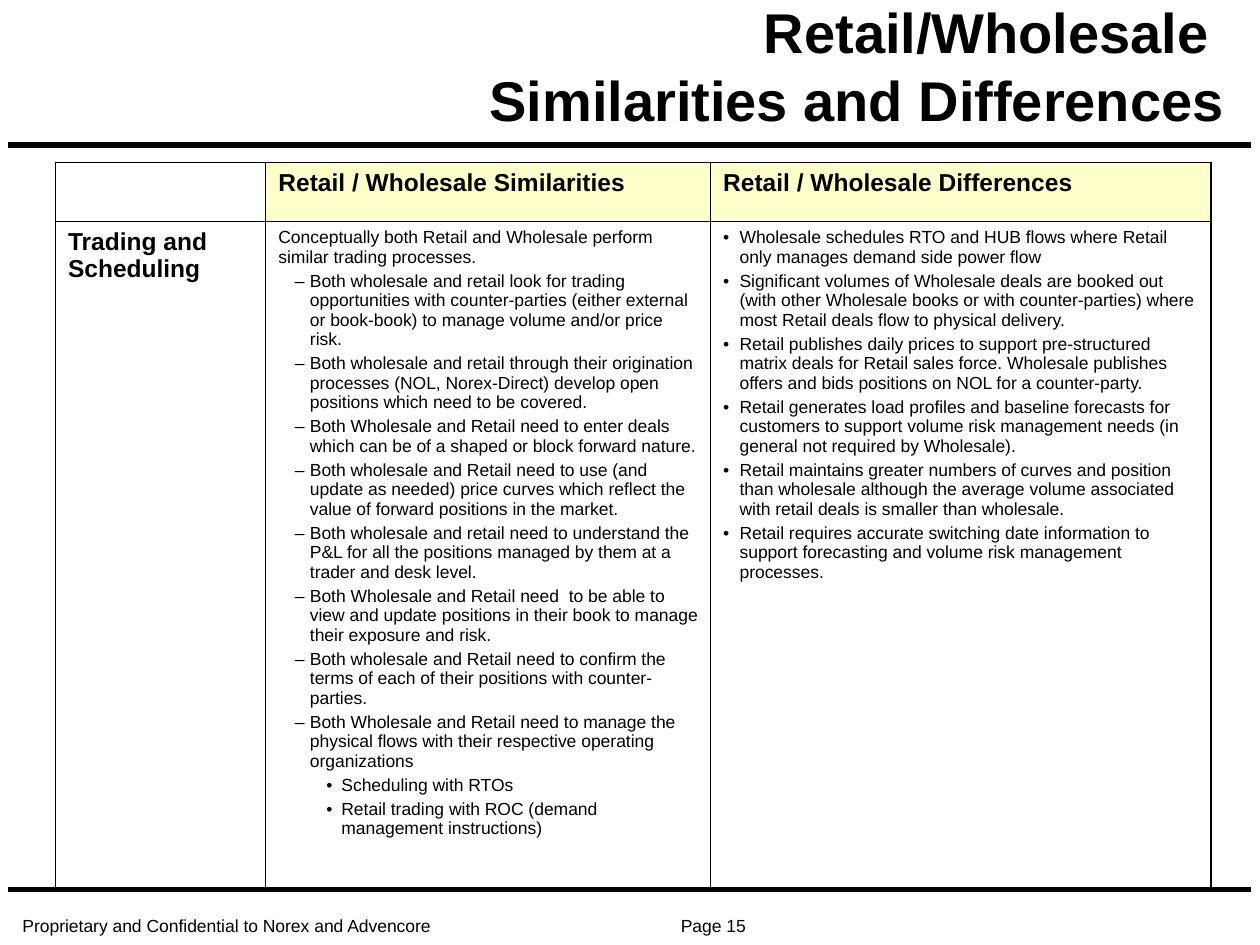
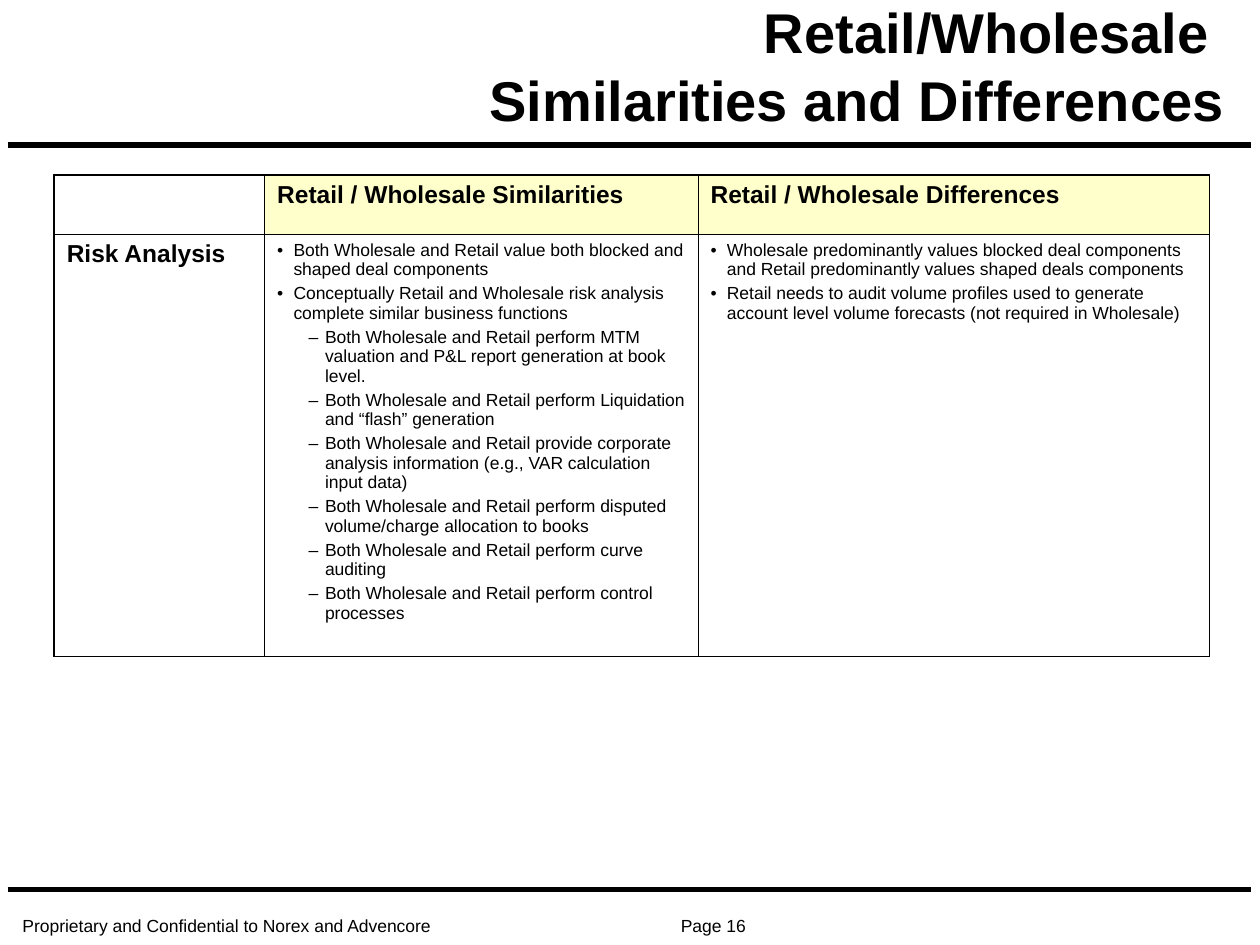
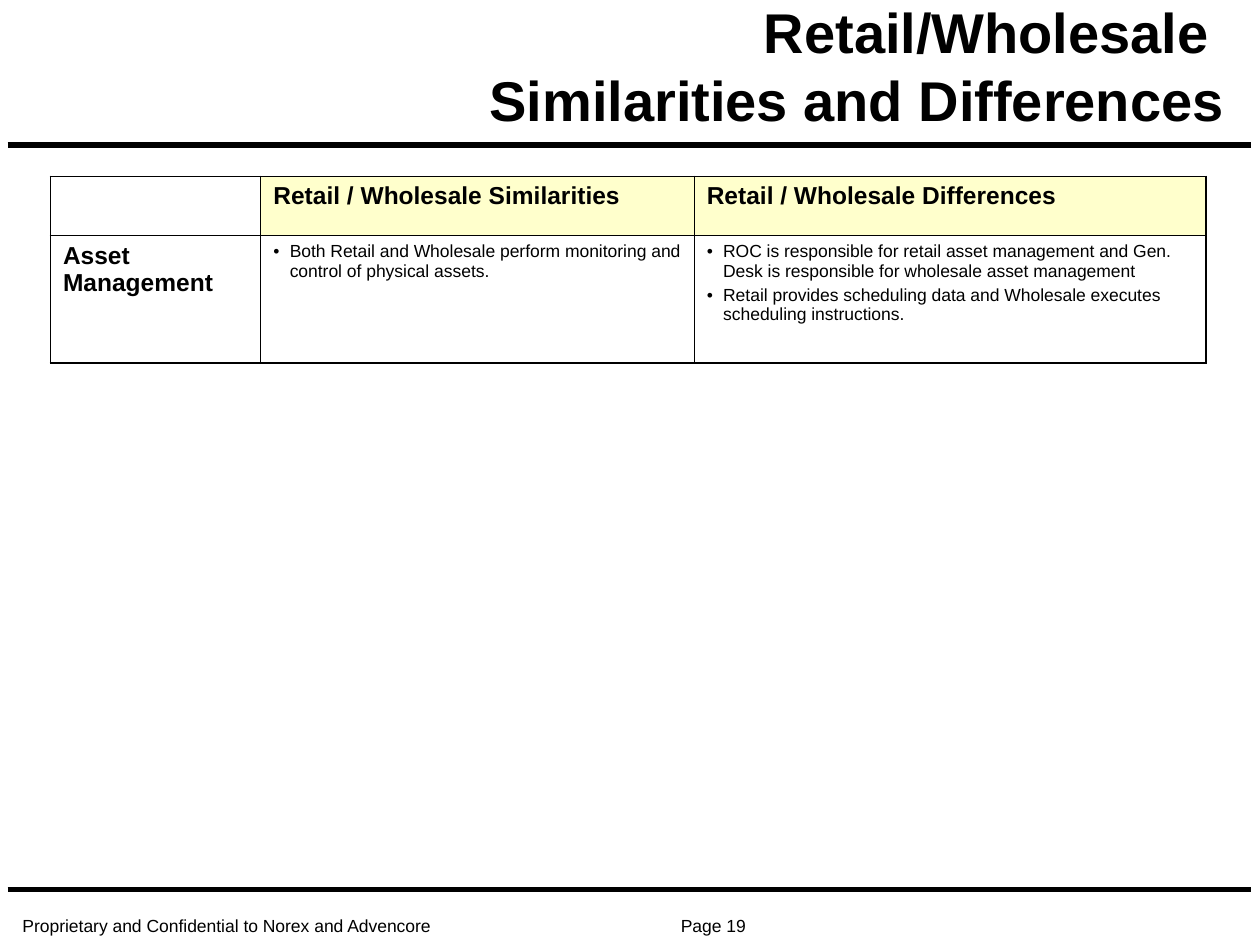
from dataclasses import dataclass

from lxml.etree import SubElement
from pptx import Presentation
from pptx.dml.color import RGBColor
from pptx.enum.shapes import MSO_CONNECTOR as Connector
from pptx.enum.text import MSO_ANCHOR as Anchor, PP_ALIGN as Align
from pptx.oxml.ns import qn
from pptx.util import Inches, Pt

# Shared look
COLORS = {"ink": "000000", "header": "FFFFCC"}
FONT = "Arial"
TITLE = "Retail/Wholesale \vSimilarities and Differences"
FOOTER = "Proprietary and Confidential to Norex and Advencore\tPage {}"
HEADERS = ("Retail / Wholesale Similarities", "Retail / Wholesale Differences")
RULE_TOPS = (1.15, 7.06)
HEADER_HEIGHT = 0.47
OUTER_BORDER, INNER_BORDER = 1.08, 0.45


@dataclass(frozen=True)
class Style:
    """Look of one kind of paragraph in the table."""
    size: float = 10
    bold: bool = False
    marker: str = ""
    left: float = 0
    hanging: float = 0
    level: int = 0
    before: float = 2.5


HEADING = Style(size=14, bold=True, before=3.5)
PLAIN = Style()
BULLET = Style(marker="•", left=0.13, hanging=0.13)
DASH = Style(marker="–", left=0.25, hanging=0.12, level=1)
DEEP_DASH = Style(marker="–", left=0.38, hanging=0.13, level=1)
SUB_BULLET = Style(marker="•", left=0.5, hanging=0.12, level=2)


@dataclass(frozen=True)
class Group:
    """Paragraphs that follow one another in the same style."""
    style: Style
    texts: tuple[str, ...]


@dataclass(frozen=True)
class Comparison:
    """One slide: a business area with its similarities and differences."""
    page: int
    area: str
    left: float
    top: float
    columns: tuple[float, ...]
    body_height: float
    similarities: tuple[Group, ...]
    differences: tuple[Group, ...]


# Content
COMPARISONS = (
    Comparison(
        15, "Trading and Scheduling", 0.44, 1.29, (1.67, 3.53, 3.97), 5.28,
        similarities=(
            Group(PLAIN, (
                "Conceptually both Retail and Wholesale perform similar trading processes.",
            )),
            Group(DASH, (
                "Both wholesale and retail look for trading opportunities with counter-parties "
                "(either external or book-book) to manage volume and/or price risk.",
                "Both wholesale and retail through their origination processes "
                "(NOL, Norex-Direct) develop open positions which need to be covered.",
                "Both Wholesale and Retail need to enter deals which can be of a shaped "
                "or block forward nature.",
                "Both wholesale and Retail need to use (and update as needed) price curves "
                "which reflect the value of forward positions in the market.",
                "Both wholesale and retail need to understand the P&L for all the positions "
                "managed by them at a trader and desk level.",
                "Both Wholesale and Retail need  to be able to view and update positions "
                "in their book to manage their exposure and risk.",
                "Both wholesale and Retail need to confirm the terms of each of their "
                "positions with counter-parties.",
                "Both Wholesale and Retail need to manage the physical flows with their "
                "respective operating organizations",
            )),
            Group(SUB_BULLET, (
                "Scheduling with RTOs",
                "Retail trading with ROC (demand management instructions)",
            )),
        ),
        differences=(
            Group(BULLET, (
                "Wholesale schedules RTO and HUB flows where Retail only manages demand "
                "side power flow",
                "Significant volumes of Wholesale deals are booked out (with other Wholesale "
                "books or with counter-parties) where most Retail deals flow to physical "
                "delivery.",
                "Retail publishes daily prices to support pre-structured matrix deals for "
                "Retail sales force. Wholesale publishes offers and bids positions on NOL "
                "for a counter-party.",
                "Retail generates load profiles and baseline forecasts for customers to "
                "support volume risk management needs (in general not required by Wholesale).",
                "Retail maintains greater numbers of curves and position than wholesale "
                "although the average volume associated with retail deals is smaller than "
                "wholesale.",
                "Retail requires accurate switching date information to support forecasting "
                "and volume risk management processes.",
            )),
        ),
    ),
    Comparison(
        16, "Risk Analysis", 0.43, 1.39, (1.67, 3.44, 4.06), 3.35,
        similarities=(
            Group(BULLET, (
                "Both Wholesale and Retail value both blocked and shaped deal components",
                "Conceptually Retail and Wholesale risk analysis complete similar business "
                "functions",
            )),
            Group(DEEP_DASH, (
                "Both Wholesale and Retail perform MTM valuation and P&L report generation "
                "at book level.",
                "Both Wholesale and Retail perform Liquidation and “flash” generation",
                "Both Wholesale and Retail provide corporate analysis information "
                "(e.g., VAR calculation input data)",
                "Both Wholesale and Retail perform disputed volume/charge allocation to books",
                "Both Wholesale and Retail perform curve auditing",
                "Both Wholesale and Retail perform control processes",
            )),
        ),
        differences=(
            Group(BULLET, (
                "Wholesale predominantly values blocked deal components and Retail "
                "predominantly values shaped deals components",
                "Retail needs to audit volume profiles used to generate account level "
                "volume forecasts (not required in Wholesale)",
            )),
        ),
    ),
    Comparison(
        19, "Asset Management", 0.4, 1.4, (1.67, 3.44, 4.06), 1.01,
        similarities=(
            Group(BULLET, (
                "Both Retail and Wholesale perform monitoring and control of physical assets.",
            )),
        ),
        differences=(
            Group(BULLET, (
                "ROC is responsible for retail asset management and Gen. Desk is responsible "
                "for wholesale asset management",
                "Retail provides scheduling data and Wholesale executes scheduling "
                "instructions.",
            )),
        ),
    ),
)


# Text helpers
def color(name: str) -> RGBColor:
    return RGBColor.from_string(COLORS[name])


def format_runs(paragraph, size: float, bold: bool = False) -> None:
    for run in paragraph.runs:
        run.font.name = FONT
        run.font.size = Pt(size)
        run.font.bold = bold
        run.font.color.rgb = color("ink")


def add_marker(paragraph, style: Style) -> None:
    properties = paragraph._p.get_or_add_pPr()
    properties.set("marL", str(Inches(style.left)))
    properties.set("indent", str(-Inches(style.hanging)))
    tint = SubElement(properties, qn("a:buClr"))
    SubElement(tint, qn("a:srgbClr"), val=COLORS["ink"])
    SubElement(properties, qn("a:buFont"), typeface=FONT)
    SubElement(properties, qn("a:buChar"), char=style.marker)


def add_text(slide, text: str, left: float, top: float, width: float, height: float,
             size: float, bold: bool = False):
    frame = slide.shapes.add_textbox(
        Inches(left), Inches(top), Inches(width), Inches(height)).text_frame
    frame.word_wrap = True
    frame.vertical_anchor = Anchor.BOTTOM
    frame.text = text
    paragraph = frame.paragraphs[0]
    format_runs(paragraph, size, bold)
    return paragraph


# Footer, rules and title
def add_frame(slide, page: int) -> None:
    footer = add_text(slide, FOOTER.format(page), 0.08, 7.25, 6.08, 0.23, 10)
    tabs = SubElement(footer._p.get_or_add_pPr(), qn("a:tabLst"))
    SubElement(tabs, qn("a:tab"), pos=str(Inches(5.74)), algn="r")
    footer.line_spacing = 0.8

    for top in RULE_TOPS:
        rule = slide.shapes.add_connector(
            Connector.STRAIGHT, Inches(0.06), Inches(top), Inches(9.93), Inches(top))
        rule.line.color.rgb = color("ink")
        rule.line.width = Pt(3)
        SubElement(rule._element.spPr, qn("a:effectLst"))

    title = add_text(slide, TITLE, 2.81, 0.39, 7.01, 0.71, 32, bold=True)
    title.alignment = Align.RIGHT


# Comparison table
def add_borders(cell, outer_sides: dict[str, bool]) -> None:
    for side, outer in outer_sides.items():
        width = Pt(OUTER_BORDER if outer else INNER_BORDER)
        border = SubElement(cell._tc.get_or_add_tcPr(), qn(f"a:ln{side}"), w=str(width))
        fill = SubElement(border, qn("a:solidFill"))
        SubElement(fill, qn("a:srgbClr"), val=COLORS["ink"])


def fill_cell(cell, groups: tuple[Group, ...]) -> None:
    entries = [(group.style, text) for group in groups for text in group.texts]
    for index, (style, text) in enumerate(entries):
        frame = cell.text_frame
        paragraph = frame.add_paragraph() if index else frame.paragraphs[0]
        paragraph.text = text
        paragraph.level = style.level
        if style.marker:
            add_marker(paragraph, style)
        if index:
            paragraph.space_before = Pt(style.before)
        format_runs(paragraph, style.size, style.bold)


def add_comparison(slide, comparison: Comparison) -> None:
    heights = (HEADER_HEIGHT, comparison.body_height)
    columns = comparison.columns
    table = slide.shapes.add_table(
        len(heights), len(columns), Inches(comparison.left), Inches(comparison.top),
        Inches(sum(columns)), Inches(sum(heights))).table
    table.first_row = table.horz_banding = False
    for column, width in zip(table.columns, columns):
        column.width = Inches(width)
    for row, height in zip(table.rows, heights):
        row.height = Inches(height)

    contents = (
        ((), *((Group(HEADING, (header,)),) for header in HEADERS)),
        ((Group(HEADING, (comparison.area,)),),
         comparison.similarities, comparison.differences),
    )
    for r, row_contents in enumerate(contents):
        for c, groups in enumerate(row_contents):
            cell = table.cell(r, c)
            add_borders(cell, {"L": c == 0, "R": c == len(columns) - 1,
                               "T": r == 0, "B": r == len(heights) - 1})
            if r == 0 and c > 0:
                cell.fill.solid()
                cell.fill.fore_color.rgb = color("header")
            else:
                cell.fill.background()
            fill_cell(cell, groups)


def main() -> None:
    deck = Presentation()
    deck.slide_width, deck.slide_height = Inches(10), Inches(7.5)
    blank = deck.slide_layouts[6]
    for comparison in COMPARISONS:
        slide = deck.slides.add_slide(blank)
        add_frame(slide, comparison.page)
        add_comparison(slide, comparison)
    deck.save("out.pptx")


if __name__ == "__main__":
    main()
